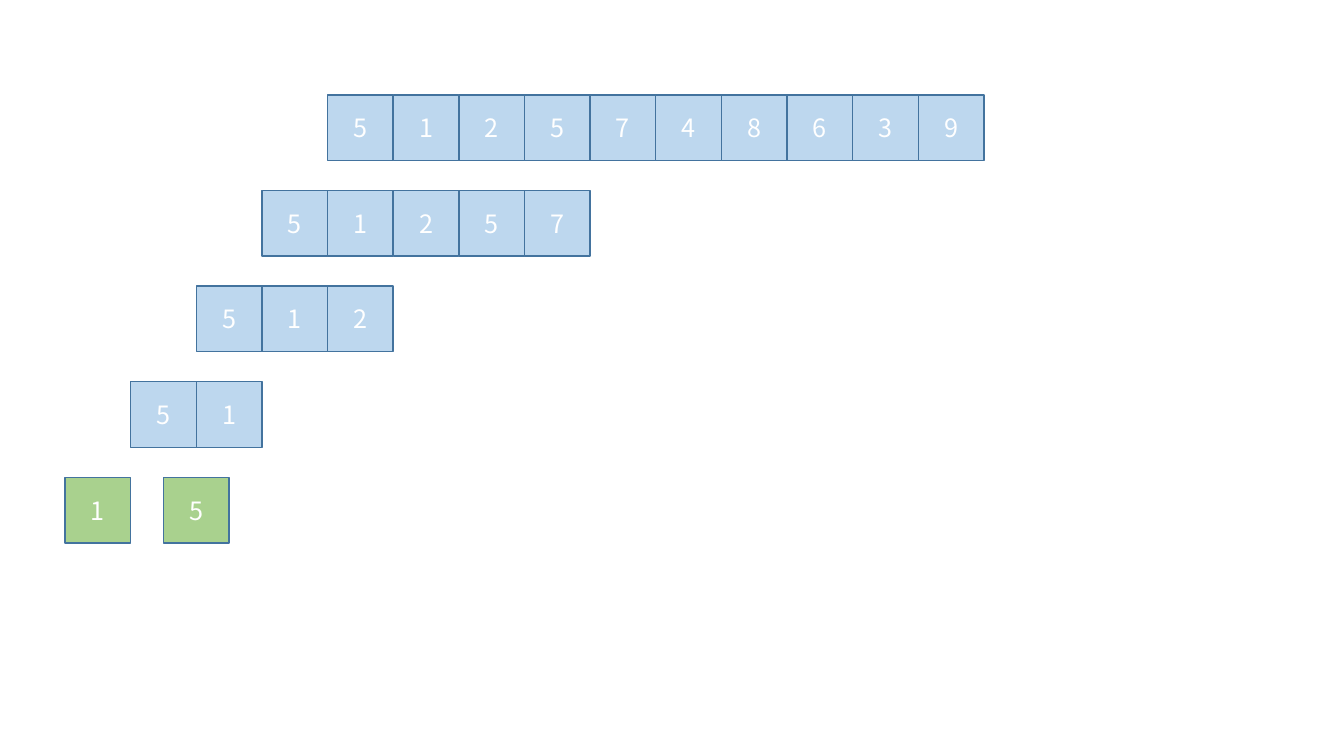
from dataclasses import dataclass

from pptx import Presentation
from pptx.dml.color import RGBColor
from pptx.enum.shapes import MSO_SHAPE
from pptx.enum.text import MSO_ANCHOR, PP_ALIGN
from pptx.slide import Slide
from pptx.util import Cm, Pt

RECT = MSO_SHAPE.RECTANGLE
MIDDLE = MSO_ANCHOR.MIDDLE
CENTER = PP_ALIGN.CENTER


@dataclass(frozen=True)
class Theme:
    blue: RGBColor = RGBColor(0xBD, 0xD7, 0xEE)
    green: RGBColor = RGBColor(0xA9, 0xD1, 0x8E)
    edge: RGBColor = RGBColor(0x43, 0x73, 0x9E)
    text: RGBColor = RGBColor(0xFF, 0xFF, 0xFF)
    font: str = "Noto Sans CJK SC"
    size: Pt = Pt(18)
    line: Pt = Pt(1)


@dataclass(frozen=True)
class Row:
    digits: str
    level: int
    column: float
    fill: RGBColor


THEME = Theme()
LEFT = Cm(1.64)
TOP = Cm(2.39)
SIDE = Cm(16.54) // 10
STEP = Cm(2.41)

ROWS = [
    Row("5125748639", 0, 4, THEME.blue),
    Row("51257", 1, 3, THEME.blue),
    Row("512", 2, 2, THEME.blue),
    Row("51", 3, 1, THEME.blue),
    Row("1", 4, 0, THEME.green),
    Row("5", 4, 1.5, THEME.green),
]


def draw_cell(slide: Slide, digit: str, left: int, top: int, fill: RGBColor) -> None:
    cell = slide.shapes.add_shape(RECT, left, top, SIDE, SIDE)
    cell.shadow.inherit = False
    cell.fill.solid()
    cell.fill.fore_color.rgb = fill
    cell.line.color.rgb = THEME.edge
    cell.line.width = THEME.line
    frame = cell.text_frame
    frame.text = digit
    frame.vertical_anchor = MIDDLE
    para = frame.paragraphs[0]
    para.alignment = CENTER
    font = para.runs[0].font
    font.name = THEME.font
    font.size = THEME.size
    font.color.rgb = THEME.text


def draw_row(slide: Slide, row: Row) -> None:
    top = TOP + row.level * STEP
    for index, digit in enumerate(row.digits):
        left = LEFT + int((row.column + index) * SIDE)
        draw_cell(slide, digit, left, top, row.fill)


def main() -> None:
    deck = Presentation()
    deck.slide_width = Cm(33.87)
    deck.slide_height = Cm(19.05)
    slide = deck.slides.add_slide(deck.slide_layouts[6])
    for row in ROWS:
        draw_row(slide, row)
    deck.save("out.pptx")


if __name__ == "__main__":
    main()
